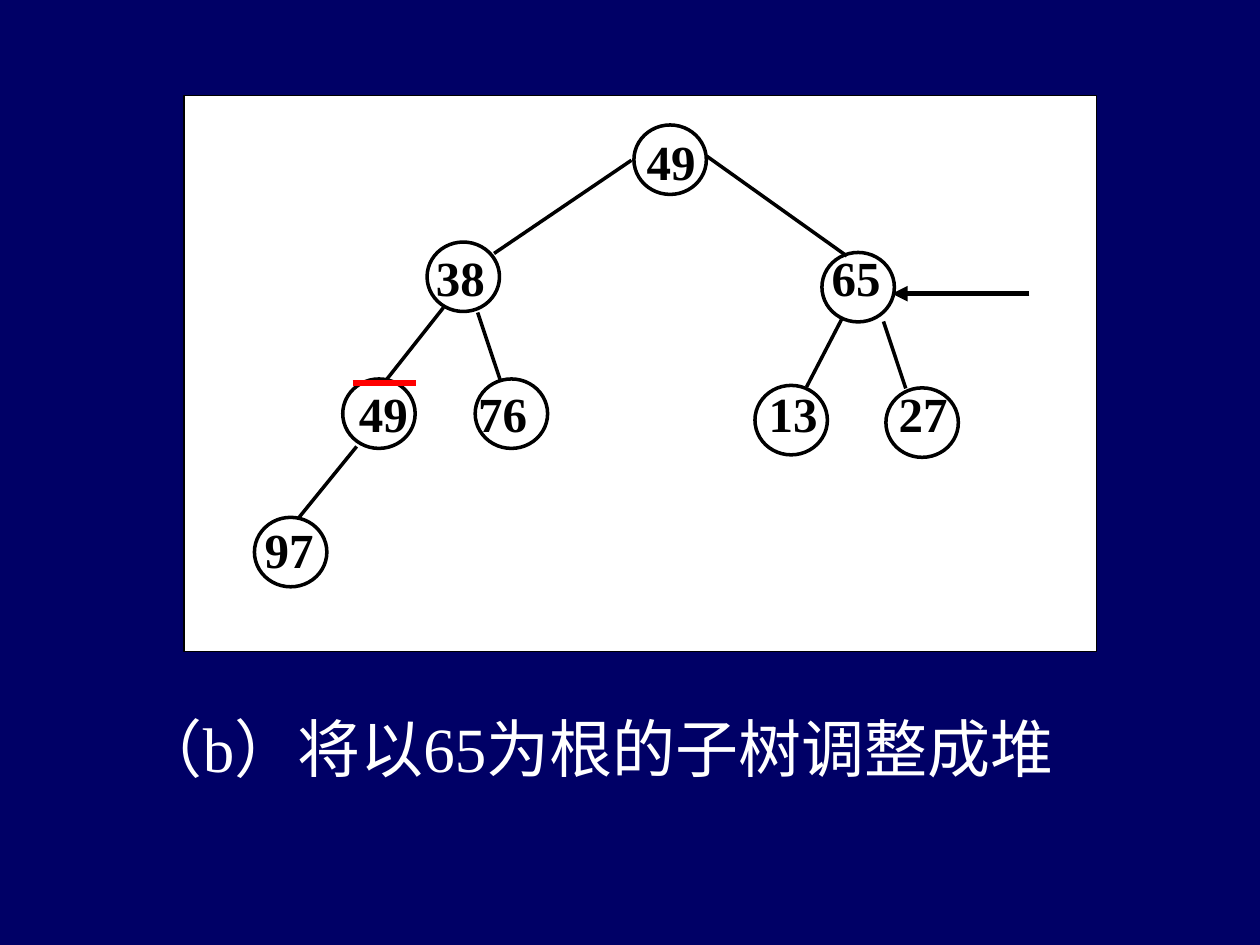
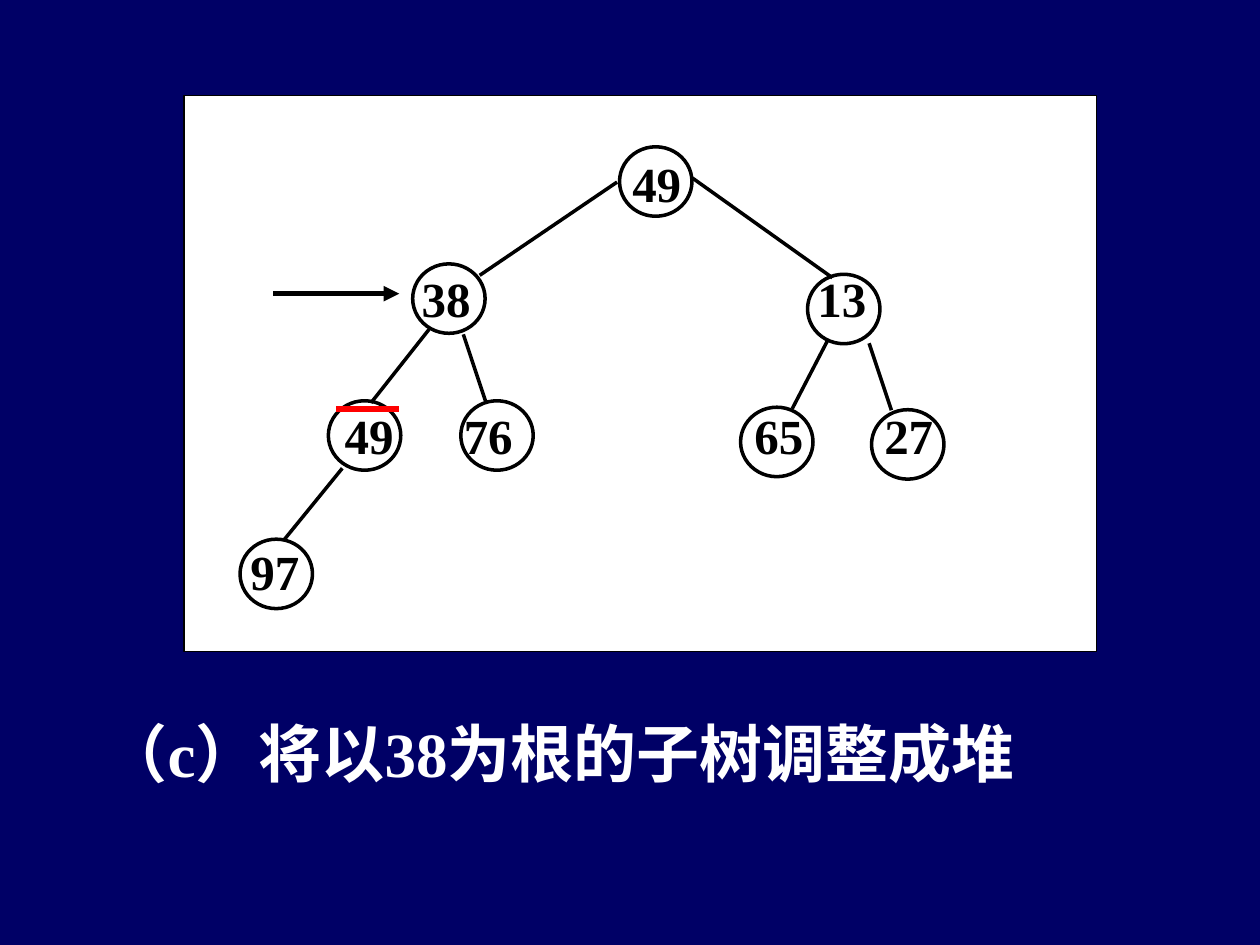
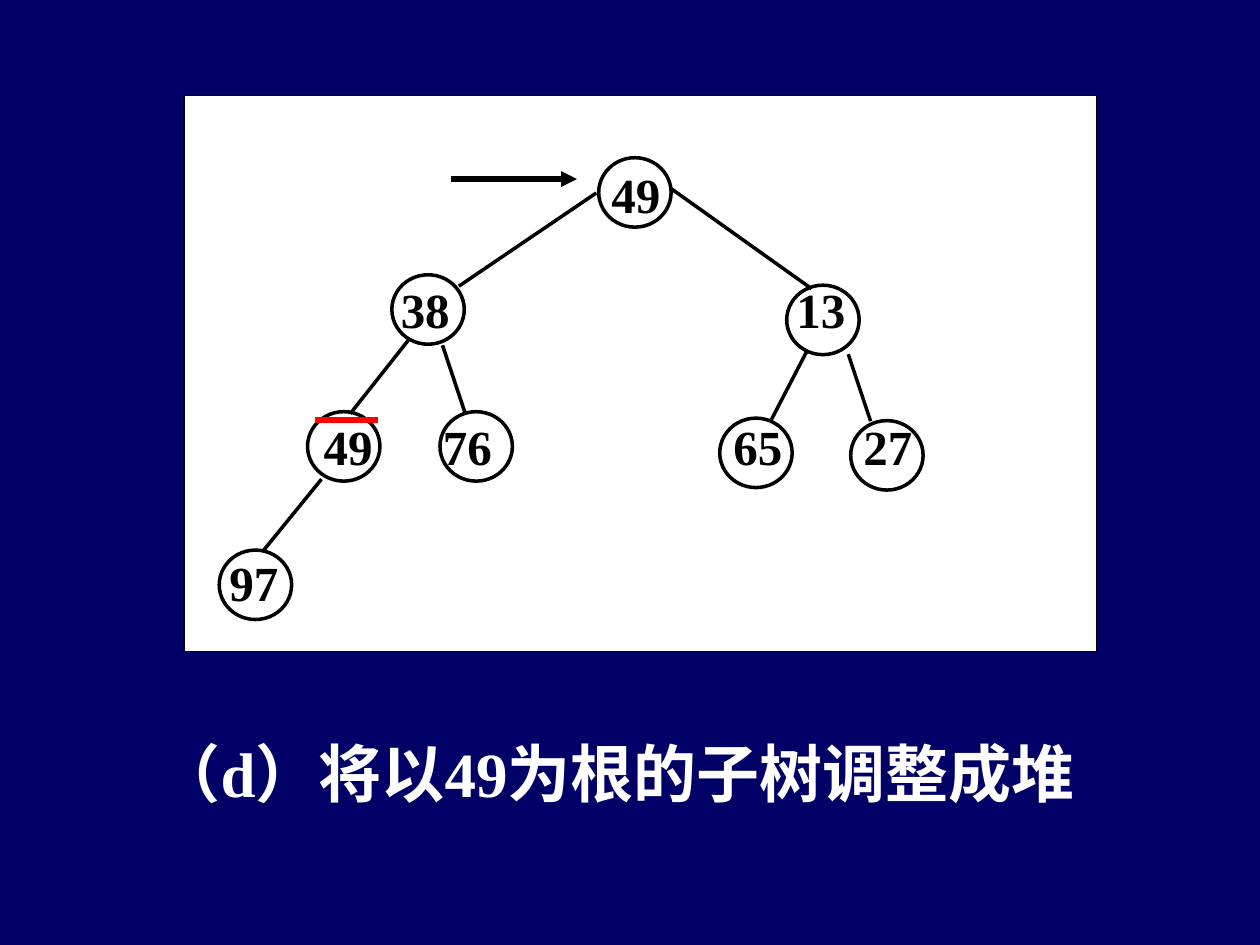
"""Build three slides that follow a heap through its sift-down steps."""
from dataclasses import dataclass

from lxml.etree import SubElement
from pptx import Presentation
from pptx.dml.color import RGBColor
from pptx.enum.shapes import MSO_CONNECTOR, MSO_SHAPE
from pptx.enum.text import MSO_AUTO_SIZE, PP_ALIGN
from pptx.oxml.ns import qn
from pptx.shapes.connector import Connector
from pptx.shapes.shapetree import GroupShapes
from pptx.slide import Slide
from pptx.text.text import TextFrame
from pptx.util import Cm, Pt

COLORS = {"navy": "000066", "paper": "FFFFFF", "ink": "000000", "mark": "FF0000"}
FONT = "Times New Roman"
RING_WIDTH, RING_HEIGHT, LABEL_HEIGHT = 1.46, 1.4, 2.43
MARK_LENGTH = 1.27
NARROW, WIDE = 3.18, 3.48
CENTER, JUSTIFY = PP_ALIGN.CENTER, PP_ALIGN.JUSTIFY

Point = tuple[float, float]


@dataclass(frozen=True)
class Node:
    """A heap position: its label and its ring, in cm from the tree's corner."""
    label: Point
    label_width: float
    ring: Point
    align: PP_ALIGN = CENTER


@dataclass(frozen=True)
class Caption:
    """The sentence under the tree."""
    text: str
    box: tuple[float, float, float, float]
    align: PP_ALIGN = JUSTIFY
    bold: bool = True
    wrap: bool = True
    insets: Point = (0, 0)


@dataclass(frozen=True)
class Step:
    """One sift-down step, with the heap's keys in level order."""
    caption: Caption
    keys: tuple[int, ...]
    corner: Point
    mark: Point
    pointer: tuple[Point, Point]


NODES = (
    Node((7.85, 0), NARROW, (8.69, 0)),
    Node((4.45, 2.33), NARROW, (4.52, 2.36), JUSTIFY),
    Node((11.43, 2.33), WIDE, (12.48, 2.57)),
    Node((1.9, 5.08), WIDE, (2.82, 5.12)),
    Node((5.3, 5.08), NARROW, (5.49, 5.12), JUSTIFY),
    Node((10.16, 5.08), WIDE, (11.13, 5.25)),
    Node((12.93, 5.08), NARROW, (13.77, 5.3)),
    Node((0, 7.83), WIDE, (1.04, 7.91)),
)
BRANCHES: tuple[tuple[Point, Point], ...] = (
    ((8.64, 0.71), (5.87, 2.59)),
    ((10.16, 0.63), (12.98, 2.64)),
    ((4.85, 3.68), (3.68, 5.16)),
    ((5.54, 3.78), (5.99, 5.13)),
    ((12.88, 3.91), (12.17, 5.28)),
    ((13.72, 3.96), (14.17, 5.31)),
    ((3.1, 6.48), (1.93, 7.92)),
)
STEPS = (
    Step(
        Caption("（b）将以65为根的子树调整成堆", (2.57, 14.17, 20.14, 1.78),
                PP_ALIGN.LEFT, bold=False, wrap=False, insets=(0.25, 0.13)),
        (49, 38, 65, 49, 76, 13, 27, 97),
        (4.09, 2.52), (7.11, 7.72), ((20.75, 5.92), (17.98, 5.92)),
    ),
    Step(
        Caption("（c）将以38为根的子树调整成堆", (2.11, 14.4, 20.75, 2.11)),
        (49, 38, 13, 49, 76, 65, 27, 97),
        (3.8, 2.96), (6.78, 8.25), ((5.51, 5.92), (8.05, 5.92)),
    ),
    Step(
        Caption("（d）将以49为根的子树调整成堆", (3.18, 14.81, 19.48, 1.7)),
        (49, 38, 13, 49, 76, 65, 27, 97),
        (3.38, 3.18), (6.35, 8.46), ((9.09, 3.61), (11.63, 3.61)),
    ),
)


def color(name: str) -> RGBColor:
    """Look up a palette colour."""
    return RGBColor.from_string(COLORS[name])


def shift(point: Point, corner: Point) -> Point:
    """Move a tree point to its place on the slide."""
    return point[0] + corner[0], point[1] + corner[1]


def write(frame: TextFrame, text: str, size: float, ink: str, align: PP_ALIGN,
          bold: bool = True, insets: Point = (0.25, 0.13)) -> None:
    """Fill a text frame with one styled paragraph."""
    frame.word_wrap = True
    frame.margin_left = frame.margin_right = Cm(insets[0])
    frame.margin_top = frame.margin_bottom = Cm(insets[1])
    paragraph = frame.paragraphs[0]
    paragraph.text = text
    paragraph.alignment = align
    font = paragraph.font
    font.name, font.size, font.bold = FONT, Pt(size), bold
    font.color.rgb = color(ink)


def draw_line(shapes: GroupShapes, start: Point, end: Point, width: float,
              ink: str = "ink") -> Connector:
    """Draw a straight line without a shadow."""
    line = shapes.add_connector(MSO_CONNECTOR.STRAIGHT, *map(Cm, start + end))
    line.line.width = Pt(width)
    line.line.color.rgb = color(ink)
    SubElement(line.element.spPr, qn("a:effectLst"))
    return line


def draw_node(shapes: GroupShapes, node: Node, key: int, corner: Point) -> None:
    """Draw a key and the ring around it."""
    left, top = shift(node.label, corner)
    label = shapes.add_textbox(Cm(left), Cm(top), Cm(node.label_width), Cm(LABEL_HEIGHT))
    write(label.text_frame, str(key), 28, "ink", node.align)
    left, top = shift(node.ring, corner)
    ring = shapes.add_shape(MSO_SHAPE.OVAL, Cm(left), Cm(top), Cm(RING_WIDTH), Cm(RING_HEIGHT))
    ring.shadow.inherit = False
    ring.fill.background()
    ring.line.color.rgb = color("ink")
    ring.line.width = Pt(2)


def draw_panel(slide: Slide) -> None:
    """Draw the white sheet behind the tree."""
    panel = slide.shapes.add_shape(MSO_SHAPE.RECTANGLE, Cm(3.71), Cm(1.93), Cm(18.39), Cm(11.2))
    panel.shadow.inherit = False
    panel.fill.solid()
    panel.fill.fore_color.rgb = color("paper")
    panel.line.color.rgb = color("ink")
    panel.line.width = Pt(0.75)


def draw_caption(slide: Slide, caption: Caption) -> None:
    """Write the sentence under the tree."""
    frame = slide.shapes.add_textbox(*map(Cm, caption.box)).text_frame
    write(frame, caption.text, 36, "paper", caption.align, caption.bold, caption.insets)
    if not caption.wrap:
        frame.word_wrap = False
        frame.auto_size = MSO_AUTO_SIZE.SHAPE_TO_FIT_TEXT


def draw_step(slide: Slide, step: Step) -> None:
    """Draw one step of the heap."""
    draw_panel(slide)
    draw_caption(slide, step.caption)
    tree = slide.shapes.add_group_shape().shapes
    for start, end in BRANCHES:
        draw_line(tree, shift(start, step.corner), shift(end, step.corner), 2)
    for node, key in zip(NODES, step.keys):
        draw_node(tree, node, key, step.corner)
    draw_line(slide.shapes, step.mark, shift(step.mark, (MARK_LENGTH, 0)), 3.25, "mark")
    pointer = draw_line(slide.shapes, *step.pointer, 3)
    SubElement(pointer.line._get_or_add_ln(), qn("a:tailEnd"), type="triangle")


def main() -> None:
    """Build and save the deck."""
    deck = Presentation()
    deck.slide_width, deck.slide_height = Cm(25.4), Cm(19.05)
    backdrop = deck.slide_master.background.fill
    backdrop.solid()
    backdrop.fore_color.rgb = color("navy")
    for step in STEPS:
        draw_step(deck.slides.add_slide(deck.slide_layouts[6]), step)
    deck.save("out.pptx")


if __name__ == "__main__":
    main()
